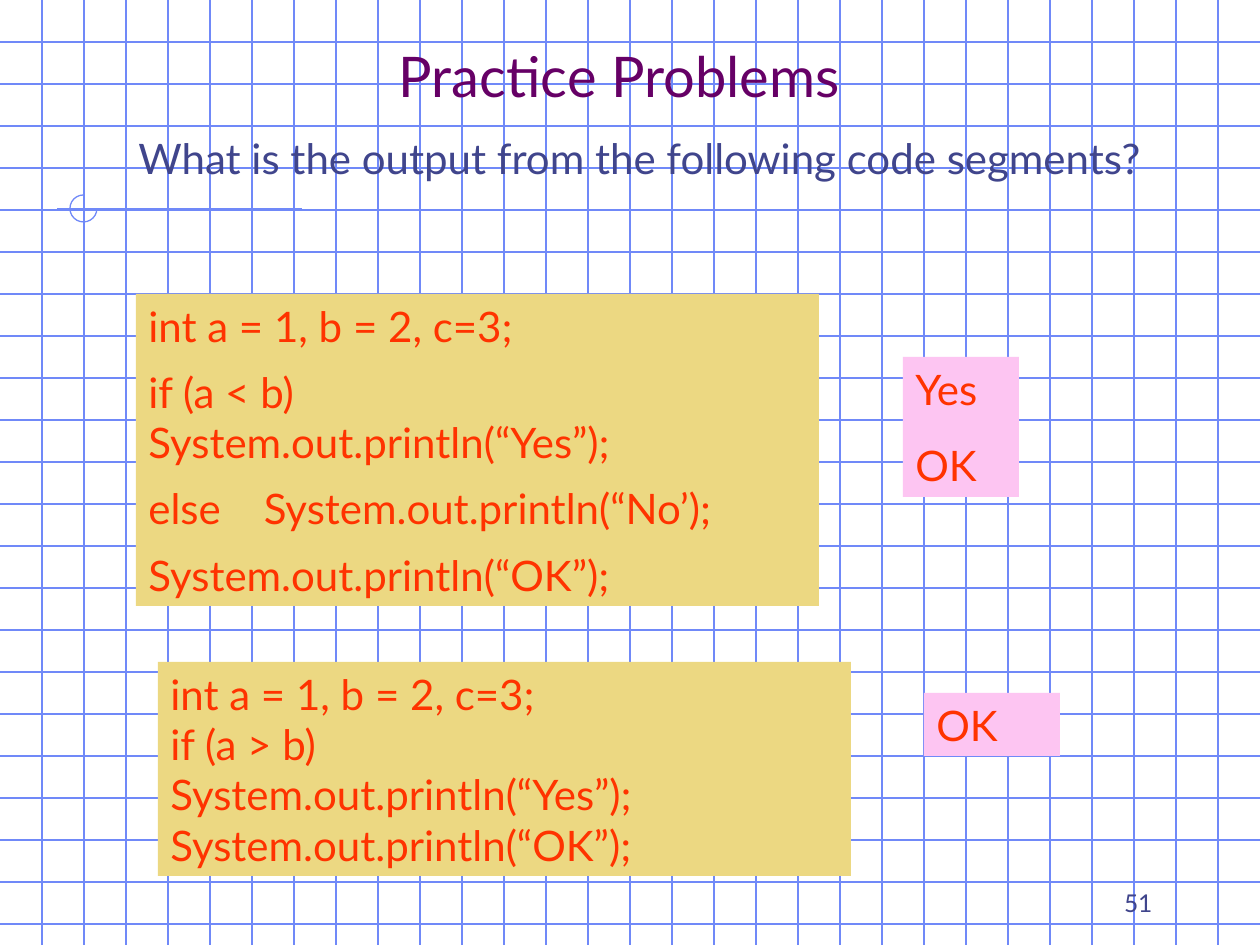
from lxml import etree
from pptx import Presentation
from pptx.dml.color import RGBColor
from pptx.enum.shapes import MSO_CONNECTOR, MSO_SHAPE
from pptx.enum.text import MSO_ANCHOR, MSO_AUTO_SIZE, PP_ALIGN
from pptx.oxml.ns import qn
from pptx.util import Emu, Pt

RECT, ARC = MSO_SHAPE.RECTANGLE, MSO_SHAPE.ARC
STRAIGHT = MSO_CONNECTOR.STRAIGHT
LEFT, CENTER, RIGHT = PP_ALIGN.LEFT, PP_ALIGN.CENTER, PP_ALIGN.RIGHT
TOP, BOTTOM = MSO_ANCHOR.TOP, MSO_ANCHOR.BOTTOM

BLUE = RGBColor(0x70, 0x89, 0xF8)
PURPLE = RGBColor(0x66, 0x00, 0x66)
NAVY = RGBColor(0x40, 0x45, 0x8C)
RED = RGBColor(0xFF, 0x33, 0x00)
SAND = RGBColor(0xEC, 0xD8, 0x82)
PINK = RGBColor(0xFD, 0xC5, 0xF2)

FONT = "Lato"
WIDE, HIGH, STEP = 1260, 945, 42
SCALE = 914400 / 126  # EMU in one px


def px(n):
    return Emu(round(n * SCALE))


def place(shape, box):
    shape.left, shape.top, shape.width, shape.height = map(px, box)


def write(shape, lines, size, color, align=LEFT, anchor=TOP, gap=0):
    frame = shape.text_frame
    frame.word_wrap = True
    frame.auto_size = MSO_AUTO_SIZE.NONE
    frame.vertical_anchor = anchor
    frame.text = "\n".join(lines)
    for i, para in enumerate(frame.paragraphs):
        para.alignment = align
        para.space_before = Pt(gap if i else 0)
        para.font.name = FONT
        para.font.size = Pt(size)
        para.font.color.rgb = color


def add_line(slide, *ends):
    line = slide.shapes.add_connector(STRAIGHT, *map(px, ends))
    line.line.color.rgb = BLUE
    line.line.width = Pt(0.75)
    etree.SubElement(line._element.spPr, qn("a:effectLst"))


def add_grid(slide):
    for y in range(STEP, HIGH, STEP):
        add_line(slide, 0, y, WIDE, y)
    for x in range(STEP, WIDE, STEP):
        add_line(slide, x, 0, x, HIGH)


def add_marks(slide):
    add_line(slide, 1218, 0, 1218, 325)
    add_line(slide, 302, 209, 57, 209)
    add_line(slide, 84, 195, 84, 515)
    arc = slide.shapes.add_shape(ARC, *map(px, (70, 195, 27, 27)))
    arc.adjustments[0] = 0
    arc.adjustments[1] = 162  # three quarters round, up to the top
    arc.shadow.inherit = False
    arc.fill.background()
    arc.line.color.rgb = BLUE
    arc.line.width = Pt(0.75)


def add_title(slide, text):
    title = slide.shapes.title
    place(title, (84, 42, 1071, 73))
    write(title, [text], 32, PURPLE, CENTER, BOTTOM)
    slide.shapes._spTree.append(title._element)  # above the grid


def add_label(slide, box, text, size, **style):
    label = slide.shapes.add_textbox(*map(px, box))
    write(label, [text], size, NAVY, **style)


def add_panel(slide, box, fill, lines, gap=0):
    panel = slide.shapes.add_shape(RECT, *map(px, box))
    panel.shadow.inherit = False
    panel.fill.solid()
    panel.fill.fore_color.rgb = fill
    panel.line.fill.background()
    write(panel, lines, 24, RED, gap=gap)


def main():
    deck = Presentation()
    deck.slide_width, deck.slide_height = px(WIDE), px(HIGH)
    slide = deck.slides.add_slide(deck.slide_layouts[5])

    # Squared paper and corner marks
    add_grid(slide)
    add_marks(slide)

    # Heading
    add_title(slide, "Practice Problems")
    add_label(slide, (126, 126, 1134, 140),
              "What is the output from the following code segments?", 24)

    # First problem and its output
    add_panel(slide, (136, 294, 683, 312), SAND, [
        "int a = 1, b = 2, c=3;",
        "if (a < b)\vSystem.out.println(“Yes”);",
        "else    System.out.println(“No’);",
        "System.out.println(“OK”);",
    ], gap=9)
    add_panel(slide, (903, 357, 116, 140), PINK, ["Yes", "OK"], gap=15)

    # Second problem and its output
    add_panel(slide, (158, 662, 693, 214), SAND, [
        "int a = 1, b = 2, c=3;",
        "if (a > b)\vSystem.out.println(“Yes”);",
        "System.out.println(“OK”);",
    ])
    add_panel(slide, (924, 693, 136, 63), PINK, ["OK"])

    # Page number
    add_label(slide, (903, 861, 262, 63), "51", 14,
              align=RIGHT, anchor=BOTTOM)

    deck.save("out.pptx")


if __name__ == "__main__":
    main()
